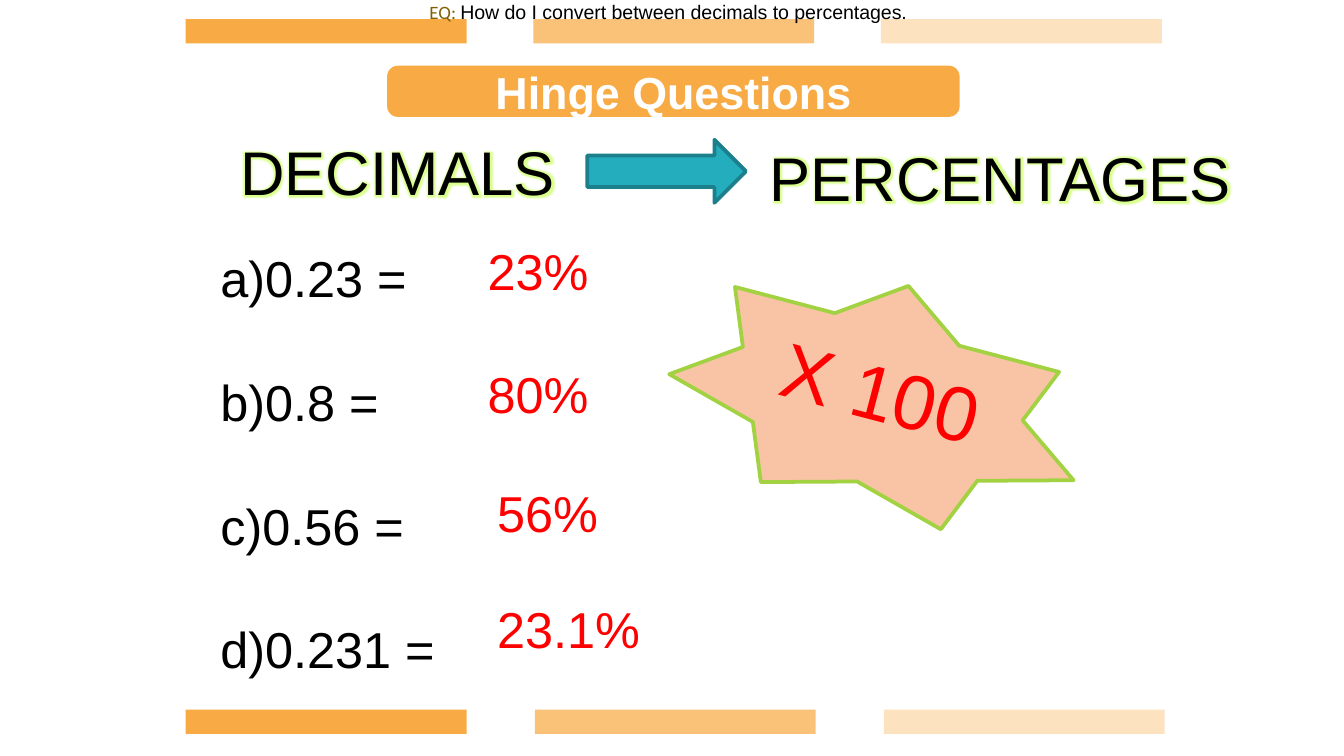
"""Build the slide on turning decimals into percentages."""
from lxml.etree import SubElement
from pptx import Presentation
from pptx.dml.color import RGBColor
from pptx.enum.shapes import MSO_SHAPE
from pptx.enum.text import MSO_ANCHOR, MSO_AUTO_SIZE, PP_ALIGN
from pptx.oxml.ns import qn
from pptx.util import Pt


def paint(item, color):
    if hasattr(item, "solid"):
        item.solid()
        item = item.fore_color
    item.rgb = RGBColor.from_string(color)


def style(para, size, color, face="Arial"):
    para.font.size = Pt(size)
    para.font.name = face
    paint(para.font.color, color)


deck = Presentation()
deck.slide_width, deck.slide_height = Pt(720), Pt(405)
slide = deck.slides.add_slide(deck.slide_layouts[1])
shapes = slide.shapes
title, body = slide.placeholders

for top, step in ((10.2, 186.2), (380.2, 187)):
    for col, alpha in enumerate((100, 72, 34)):
        bar = shapes.add_shape(MSO_SHAPE.RECTANGLE, Pt(99.5 + col * step), Pt(top), Pt(150.5), Pt(13))
        bar.shadow.inherit = False
        paint(bar.fill, "F8AB44")
        bar.line.fill.background()
        if alpha < 100:
            tint = bar.fill._xPr.find(qn("a:solidFill"))[0]
            SubElement(tint, qn("a:alpha"), val=str(alpha * 1000))

frame = (Pt(207.4), Pt(35.2), Pt(306.7), Pt(27.4))
plate = shapes.add_shape(MSO_SHAPE.ROUNDED_RECTANGLE, *frame)
plate.adjustments[0] = 0.21
plate.shadow.inherit = False
paint(plate.fill, "F8AB44")
plate.line.fill.background()

shapes._spTree.append(title._element)
title.left, title.top, title.width, title.height = frame
text = title.text_frame
text.text = "Hinge Questions"
text.auto_size = MSO_AUTO_SIZE.NONE
text.vertical_anchor = MSO_ANCHOR.MIDDLE
para = text.paragraphs[0]
para.alignment = PP_ALIGN.CENTER
style(para, 24, "FFFFFF")
para.font.bold = True

body.left, body.top, body.width, body.height = Pt(110.9), Pt(129), Pt(216.7), Pt(234)
text = body.text_frame
text.text = "\n".join(("0.23 =", "0.8 =", "0.56 =", "0.231 ="))
text.auto_size = MSO_AUTO_SIZE.NONE
text.vertical_anchor = MSO_ANCHOR.TOP
for para in text.paragraphs:
    props = para._p.get_or_add_pPr()
    props.set("marL", str(Pt(20)))
    props.set("indent", str(Pt(-20)))
    SubElement(props, qn("a:buFont"), typeface="+mj-lt")
    SubElement(props, qn("a:buAutoNum"), type="alphaLcParenR")
    para.space_before, para.space_after = Pt(0), Pt(33.8)
    style(para, 27, "000000")

arrow = shapes.add_shape(MSO_SHAPE.RIGHT_ARROW, Pt(314.6), Pt(74.9), Pt(85), Pt(33.8))
star = shapes.add_shape(MSO_SHAPE.STAR_7_POINT, Pt(359.3), Pt(151.2), Pt(223.9), Pt(121.7))
for shape, fill, line in ((arrow, "24ADBD", "1B808C"), (star, "F9C4A6", "A2D242")):
    shape.shadow.inherit = False
    paint(shape.fill, fill)
    paint(shape.line.fill, line)
    shape.line.width = Pt(2)
star.rotation = 14.7
text = star.text_frame
text.text = "X 100"
text.word_wrap = False
text.vertical_anchor = MSO_ANCHOR.MIDDLE
text.paragraphs[0].alignment = PP_ALIGN.CENTER
style(text.paragraphs[0], 41.2, "FF0000")

labels = (
    ("DECIMALS", 121.7, 68.4, 193, 33, "000000"),
    ("PERCENTAGES", 405.4, 71.3, 266.4, 33, "000000"),
    ("23%", 254.2, 125.3, 69, 27, "FF0000"),
    ("80%", 254.2, 190.8, 69, 27, "FF0000"),
    ("56%", 259.2, 254.9, 69, 27, "FF0000"),
    ("23.1%", 259.2, 316.8, 216.7, 27, "FF0000"),
)
for words, left, top, width, size, color in labels:
    box = shapes.add_textbox(Pt(left), Pt(top), Pt(width), Pt(size * 1.45))
    box.text_frame.text = words
    para = box.text_frame.paragraphs[0]
    style(para, size, color)
    if size == 33:
        props = para.runs[0]._r.get_or_add_rPr()
        glow = SubElement(SubElement(props, qn("a:effectLst")), qn("a:glow"), rad=str(Pt(5)))
        SubElement(glow, qn("a:srgbClr"), val="D9FF8C")

box = shapes.add_textbox(Pt(209.5), Pt(-3.6), Pt(297.4), Pt(32.4))
box.text_frame.word_wrap = True
para = box.text_frame.paragraphs[0]
para.alignment = PP_ALIGN.CENTER
for words, size, color, face in (
    ("EQ: ", 10.1, "806000", "Calibri"),
    ("How do I convert between decimals to percentages.", 10.5, "000000", "Arial"),
):
    run = para.add_run()
    run.text = words
    style(run, size, color, face)

deck.save("out.pptx")
